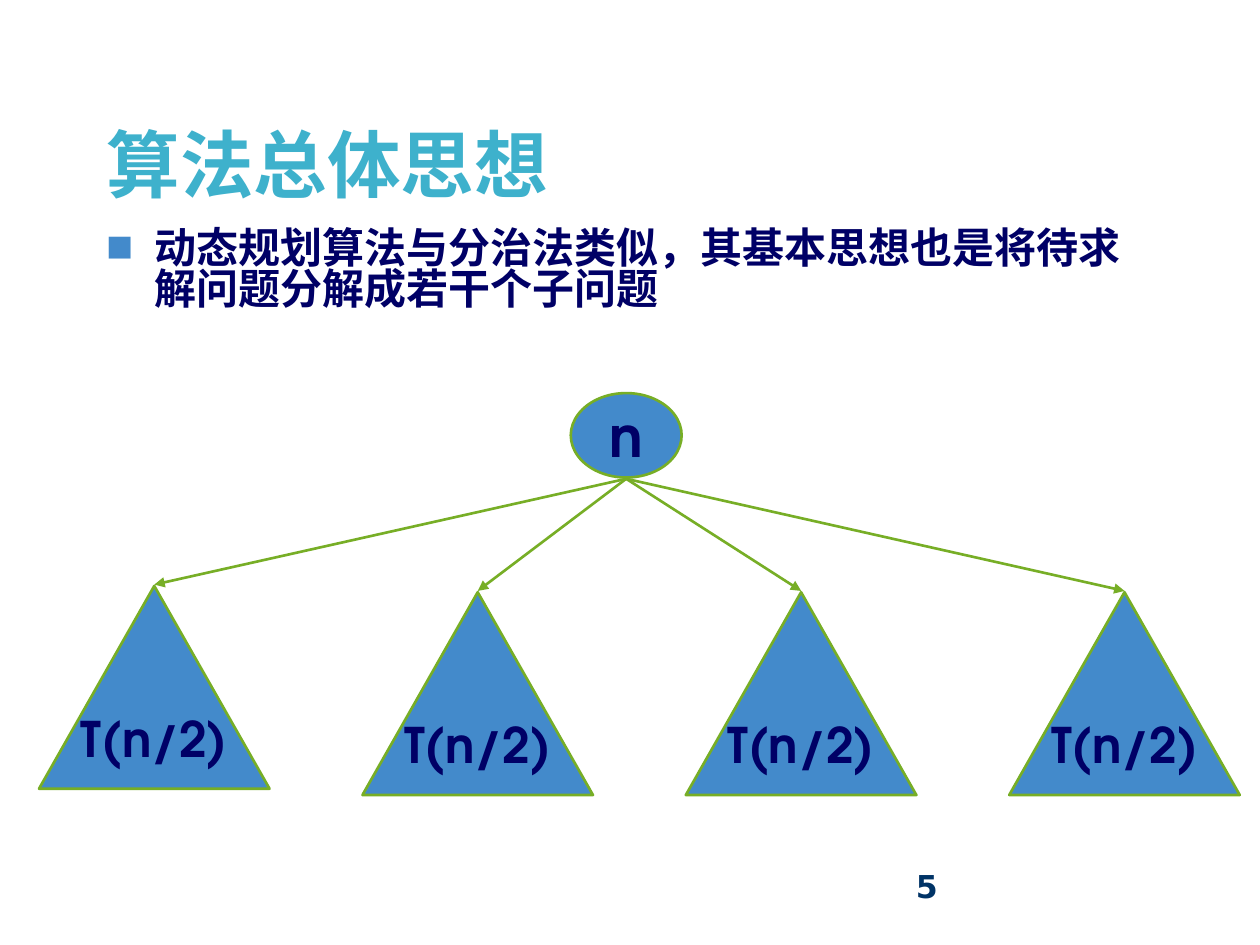
from pptx import Presentation
from pptx import util as u
from pptx.dml.color import RGBColor
from pptx.enum import shapes, text
from pptx.oxml.ns import qn
from lxml import etree

BLUE, GREEN, NAVY = "438ACB", "77AE26", "000066"
CJK, GEO = "Noto Sans CJK SC", "TeX Gyre Adventor"


def color(code):
    return RGBColor.from_string(code)


def node(up, tag, **atts):
    return etree.SubElement(up, qn(tag), atts)


def add_run(para, words, size, font, code):
    run = para.add_run()
    run.text = words
    run.font.size = u.Pt(size)
    run.font.name = font
    run.font.bold = True
    run.font.color.rgb = color(code)
    node(run.font._element, "a:ea", typeface=CJK)


def add_box(slide, box, anchor=text.MSO_ANCHOR.TOP):
    frame = slide.shapes.add_textbox(*map(u.Inches, box)).text_frame
    frame.word_wrap = True
    frame.vertical_anchor = anchor
    return frame.paragraphs[0]


def add_title(slide, box):
    para = add_box(slide, box, text.MSO_ANCHOR.MIDDLE)
    add_run(para, "算法总体思想", 42, "Times New Roman", "3EB1CC")


def add_body(slide, box):
    para = add_box(slide, box)
    para.line_spacing = 0.82
    para.space_before = u.Pt(3)
    props = para._p.get_or_add_pPr()
    props.set("marL", str(u.Inches(0.38)))
    props.set("indent", str(u.Inches(-0.38)))
    node(node(props, "a:buClr"), "a:srgbClr", val=BLUE)
    node(props, "a:buSzPct", val="65000")
    node(props, "a:buFont", typeface=CJK)
    node(props, "a:buChar", char="■")
    add_run(para, "动态规划算法与分治法类似，其基本思想也是将待求解问题分解成若干个子问题", 24, CJK, NAVY)


def add_page(slide, box):
    add_run(add_box(slide, box), "5", 18, "DejaVu Sans", "003366")


def add_node(group, kind, box, words, size):
    shape = group.shapes.add_shape(kind, *map(u.Inches, box))
    shape.shadow.inherit = False
    shape.fill.solid()
    shape.fill.fore_color.rgb = color(BLUE)
    shape.line.color.rgb = color(GREEN)
    shape.line.width = u.Pt(1.5)
    frame = shape.text_frame
    frame.word_wrap = False
    frame.vertical_anchor = text.MSO_ANCHOR.MIDDLE
    para = frame.paragraphs[0]
    para.alignment = text.PP_ALIGN.CENTER
    add_run(para, words, size, GEO, NAVY)


def add_arrow(group, start, end):
    line = group.shapes.add_connector(
        shapes.MSO_CONNECTOR.STRAIGHT, *map(u.Inches, start + end))
    line.line.color.rgb = color(GREEN)
    line.line.width = u.Pt(1.5)
    node(line.line._get_or_add_ln(), "a:tailEnd", type="triangle")
    node(line._element.spPr, "a:effectLst")


def add_tree(slide, box):
    left, top, width, height = box
    group = slide.shapes.add_group_shape()
    wide, high = 1.83, 1.61
    step = (width - wide) / 3
    root = (left + 4.22, top, 0.88, 0.67)
    start = (root[0] + 0.44, top + 0.68)
    add_node(group, shapes.MSO_SHAPE.OVAL, root, "n", 32)
    base = top + height - high
    leaves = [(left + i * step, base - lift, wide, high)
              for i, lift in enumerate((0.05, 0, 0, 0))]
    for x, y, w, h in leaves:
        add_arrow(group, start, (x + w / 2, y - 0.01))
    for leaf in leaves:
        add_node(group, shapes.MSO_SHAPE.ISOSCELES_TRIANGLE, leaf, "T(n/2)", 28)


def main():
    deck = Presentation()
    deck.slide_width, deck.slide_height = u.Inches(10), u.Inches(7.5)
    slide = deck.slides.add_slide(deck.slide_layouts[6])
    add_page(slide, (7.17, 6.83, 2.33, 0.52))
    add_body(slide, (0.75, 1.78, 8.5, 4.5))
    add_title(slide, (0.75, 0.67, 8.5, 1.25))
    add_tree(slide, (0.31, 3.12, 9.53, 3.19))
    deck.save("out.pptx")


if __name__ == "__main__":
    main()
